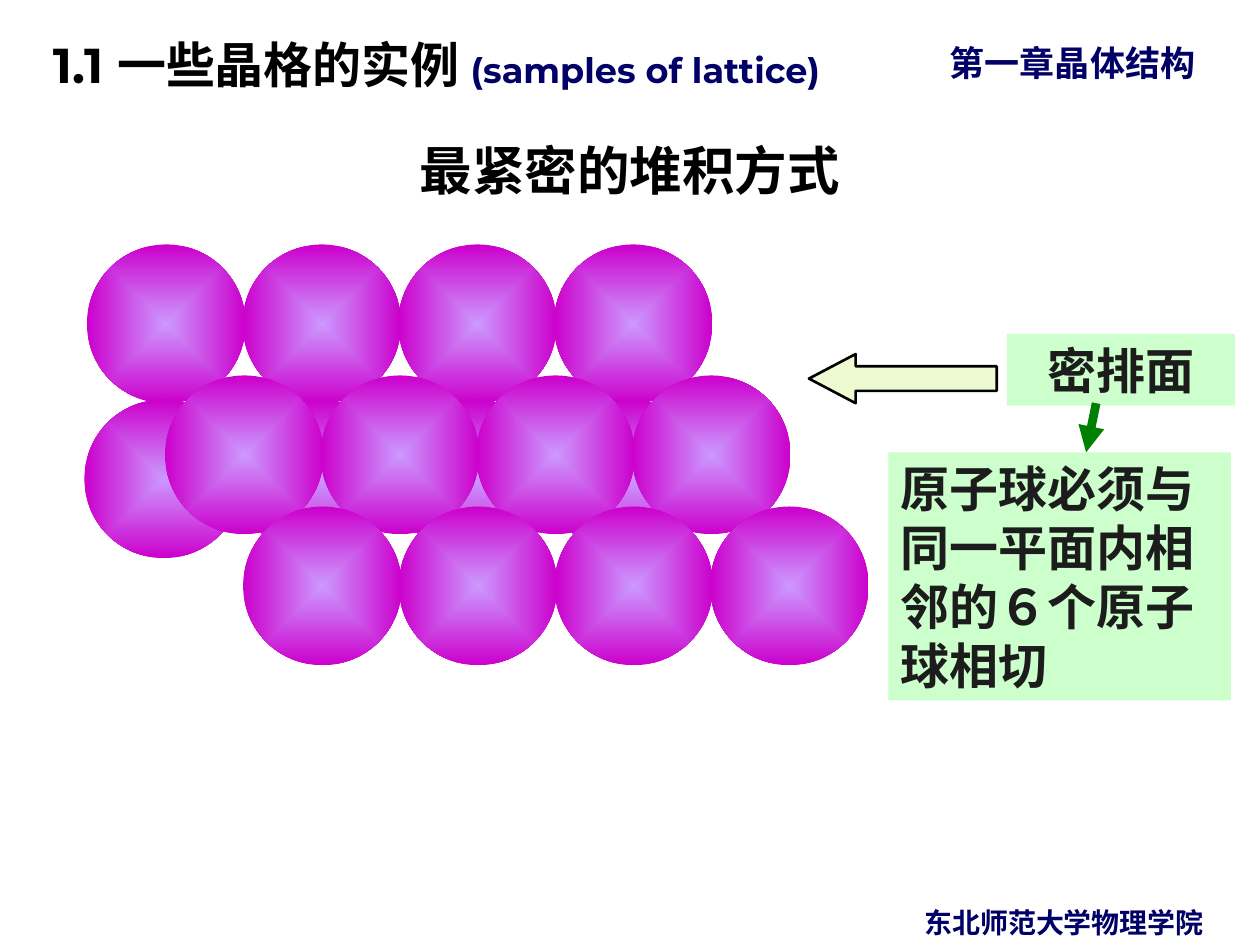
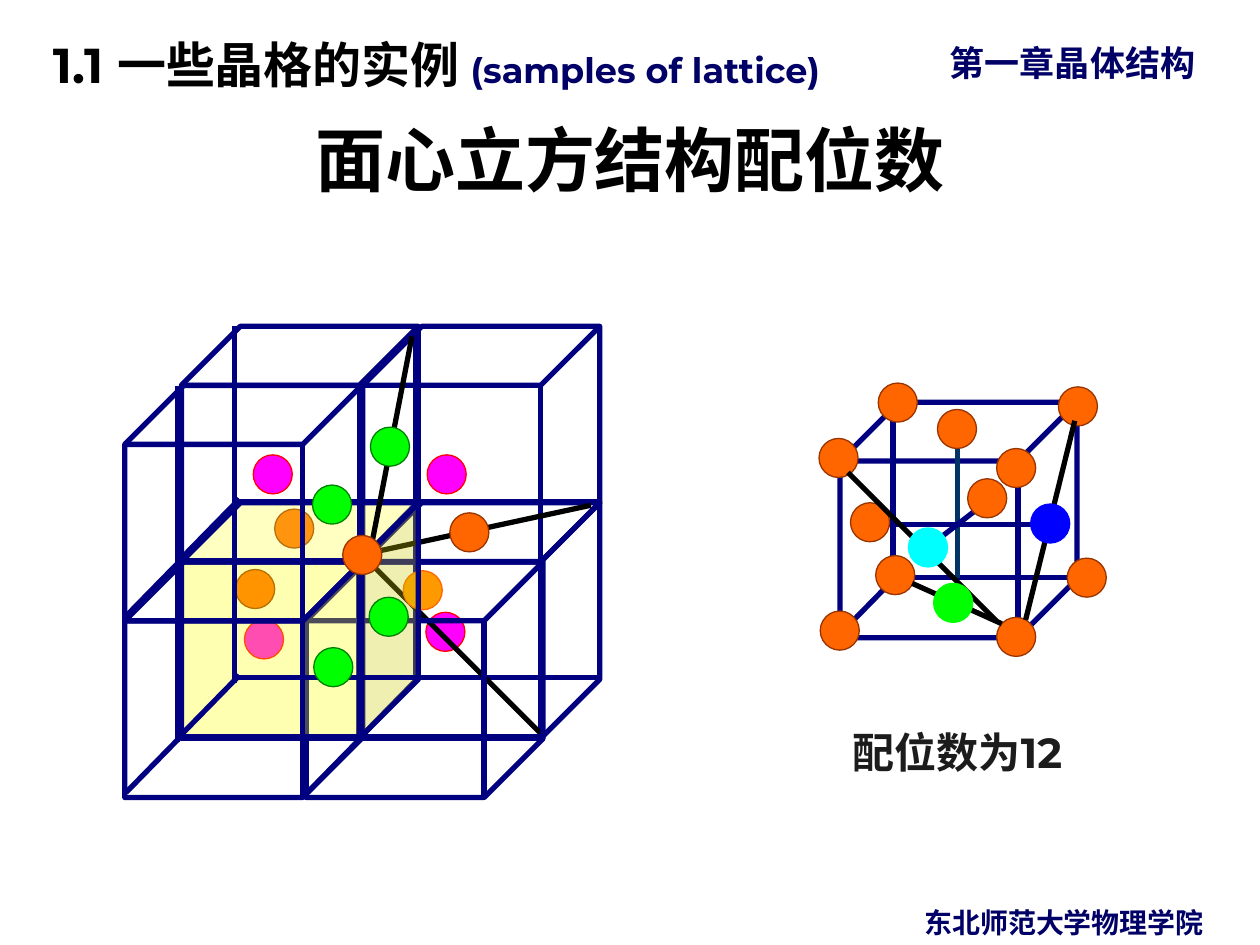
import pptx
import pptx.util
import pptx.dml.color
import pptx.enum.dml
import pptx.enum.shapes
import pptx.enum.text
import pptx.oxml.ns
from lxml import etree

RGB = pptx.dml.color.RGBColor
SHAPE = pptx.enum.shapes.MSO_SHAPE
ALIGN = pptx.enum.text.PP_ALIGN
ANCHOR = pptx.enum.text.MSO_ANCHOR
qn = pptx.oxml.ns.qn

BLACK, INK, HEADING = RGB(0, 0, 0), RGB(0x1C, 0x1C, 0x1C), RGB(0, 0, 0x66)
NAVY, TEAL, DARK_GREEN = RGB(0, 0, 0x80), RGB(0, 0x33, 0x66), RGB(0, 0x80, 0)
YELLOW, MINT, CREAM = RGB(0xFF, 0xFF, 0), RGB(0xCC, 0xFF, 0xCC), RGB(0xED, 0xFA, 0xD2)
LILAC, PURPLE = RGB(0xCC, 0x99, 0xFF), RGB(0xCC, 0, 0xCC)
PINK, RED = RGB(0xFF, 0, 0xFF), RGB(0xFF, 0, 0)
ORANGE, AMBER, BROWN = RGB(0xFF, 0x66, 0), RGB(0xFF, 0x99, 0), RGB(0x99, 0x33, 0)
GREEN, BLUE, CYAN = RGB(0, 0xFF, 0), RGB(0, 0, 0xFF), RGB(0, 0xFF, 0xFF)

HAN, LATIN, SERIF = "Noto Sans CJK SC", "Montserrat", "Times New Roman"

# Shared text: box, runs (text, size, font, colour), format
FRAME = [
    ((7.44, 0.28, 2.56, 0.43), [("第一章晶体结构", 20, HAN, HEADING)], {}),
    ((0, 0.1, 8.17, 0.69),
     [("1.1 一些晶格的实例 ", 28, LATIN, BLACK),
      ("(samples of lattice)", 20, LATIN, HEADING)],
     {"anchor": ANCHOR.MIDDLE, "spacing": 1.25, "left": 0.42}),
    ((6.89, 7.14, 3.11, 0.37), [("东北师范大学物理学院", 16, HAN, HEADING)],
     {"align": ALIGN.CENTER}),
]
TITLE_BOX = (0.5, 0.91, 9, 0.74)

# Close packing: left and top of each row of spheres, from back to front
SPHERE, SPHERE_STEP, SPHERES_PER_ROW = 1.26, 1.235, 4
SPHERE_ROWS = [(0.69, 1.94), (0.67, 3.17), (1.31, 2.98), (1.93, 4.02)]
NOTES = [
    ((7.99, 2.65, 1.81, 0.57), "密排面", ALIGN.CENTER),
    ((7.05, 3.59, 2.72, 1.97), "原子球必须与同一平面内相邻的６个原子球相切", ALIGN.LEFT),
]

# Cube (column, row, depth) sits on an oblique grid
CUBE_W, CUBE_H, ATOM = 1.88, 1.87, 0.31
GRID_LEFT, GRID_TOP, COLUMN, ROW, DEPTH = 1.44, 2.59, 1.44, 1.4, (-0.45, 0.47)
HIDDEN_EDGES = [(0.42, 0, 0.42, 1.43), (0.42, 1.39, CUBE_W, 1.39),
                (0.46, 1.37, 0.01, 1.83)]

# Layers from back to front: cube, cube fill, lines (colour, ends), atoms
LATTICE = [
    ((1, 0, 0), None, [],
     [(PINK, RED, [(3.39, 3.61), (3.38, 4.86), (2.01, 3.61), (1.94, 4.92)])]),
    ((1, 1, 0), None, [(BLACK, 2.95, 4.48, 4.29, 5.82)], []),
    ((1, 1, 1), None, [(BLACK, 2.88, 4.4, 4.69, 4.01)],
     [(AMBER, ORANGE, [(3.2, 4.53)]),
      (ORANGE, BROWN, [(2.18, 4.04), (1.87, 4.52), (3.57, 4.07)])]),
    ((0, 1, 0), YELLOW, [], []),
    ((0, 1, 1), None, [], []),
    ((0, 0, 0), None, [], []),
    ((0, 0, 1), None, [(BLACK, 2.95, 4.32, 3.27, 2.67)],
     [(GREEN, DARK_GREEN, [(2.48, 3.85), (2.93, 4.74), (2.94, 3.39), (2.49, 5.14)]),
      (ORANGE, BROWN, [(2.72, 4.25)])]),
]
UNIT_CELL = [
    ((3.63, 0.43, 0), None,
     [(TEAL, 7.6, 3.48, 7.6, 4.59), (NAVY, 6.97, 4.16, 8.31, 4.16),
      (NAVY, 7.77, 4.03, 7.46, 4.27)],
     [(ORANGE, BROWN,
       [(6.97, 3.04), (6.5, 3.48), (8.4, 3.07), (6.51, 4.85), (7.91, 4.9), (6.95, 4.41),
        (8.47, 4.43), (7.91, 3.56), (7.68, 3.8), (6.75, 3.99), (7.44, 3.25)])]),
    (None, None,
     [(BLACK, 7.91, 4.93, 6.73, 3.75), (BLACK, 7.95, 4.95, 7.24, 4.63),
      (BLACK, 8.53, 3.34, 8.14, 4.92)],
     [(BLUE, BLUE, [(8.18, 4)]), (CYAN, CYAN, [(7.21, 4.19)]),
      (GREEN, GREEN, [(7.41, 4.63)])]),
]


def inches(values):
    return [pptx.util.Inches(v) for v in values]


def write(sp, runs, align=ALIGN.LEFT, anchor=ANCHOR.TOP, spacing=1.0, left=0.1):
    tf = sp.text_frame
    for name, value in {"word_wrap": True, "vertical_anchor": anchor,
                        "margin_left": pptx.util.Inches(left)}.items():
        setattr(tf, name, value)
    p = tf.paragraphs[0]
    p.alignment, p.line_spacing = align, spacing
    for text, size, face, colour in runs:
        r = p.add_run()
        r.text = text
        for name, value in {"name": face, "size": pptx.util.Pt(size), "bold": True}.items():
            setattr(r.font, name, value)
        r.font.color.rgb = colour
        etree.SubElement(r.font._element, qn("a:ea"), typeface=HAN)


def add_text(s, box, runs, **layout):
    write(s.shapes.add_textbox(*inches(box)), runs, **layout)


def add_shape(s, kind, box, fill=None, line=None, width=0.75):
    sp = s.shapes.add_shape(kind, *inches(box))
    sp.shadow.inherit = False
    for part, colour in ((sp.fill, fill), (sp.line.fill, line)):
        if colour is None:
            part.background()
        else:
            part.solid()
            part.fore_color.rgb = colour
    if line is not None:
        sp.line.width = pptx.util.Pt(width)
    return sp


def add_line(s, colour, ends, width=3, arrow=False):
    c = s.shapes.add_connector(pptx.enum.shapes.MSO_CONNECTOR.STRAIGHT, *inches(ends))
    c.line.color.rgb = colour
    c.line.width = pptx.util.Pt(width)
    if arrow:
        etree.SubElement(c.line._get_or_add_ln(), qn("a:tailEnd"), type="triangle")
    etree.SubElement(c._element.spPr, qn("a:effectLst"))


def add_sphere(s, x, y):
    sp = add_shape(s, SHAPE.OVAL, (x, y, SPHERE, SPHERE))
    sp.fill.gradient()
    for stop, colour in zip(sp.fill.gradient_stops, (LILAC, PURPLE)):
        stop.color.rgb = colour
    grad = sp._element.spPr.find(qn("a:gradFill"))
    grad.remove(grad.find(qn("a:lin")))
    centre = etree.SubElement(grad, qn("a:path"), path="shape")
    etree.SubElement(centre, qn("a:fillToRect"), dict.fromkeys("ltrb", "50000"))


def add_cube(s, column, row, depth, fill):
    """Draw a cube with its hidden edges; a filled cube is 30% opaque."""
    x = GRID_LEFT + column * COLUMN + depth * DEPTH[0]
    y = GRID_TOP + row * ROW + depth * DEPTH[1]
    sp = add_shape(s, SHAPE.CUBE, (x, y, CUBE_W, CUBE_H), fill, NAVY, 3)
    sp.adjustments[0] = 0.25
    if fill is not None:
        colour = sp._element.spPr.find(qn("a:solidFill"))[0]
        etree.SubElement(colour, qn("a:alpha"), val="30000")
    for x1, y1, x2, y2 in HIDDEN_EDGES:
        add_line(s, NAVY, (x + x1, y + y1, x + x2, y + y2))


def add_layers(s, layers):
    for cube, fill, lines, atoms in layers:
        if cube:
            add_cube(s, *cube, fill)
        for colour, *ends in lines:
            add_line(s, colour, ends)
        for colour, rim, places in atoms:
            for x, y in places:
                add_shape(s, SHAPE.OVAL, (x, y, ATOM, ATOM), colour, rim)


def new_slide(prs, title, size):
    s = prs.slides.add_slide(prs.slide_layouts[6])
    for box, runs, layout in FRAME:
        add_text(s, box, runs, **layout)
    add_text(s, TITLE_BOX, [(title, size, HAN, BLACK)],
             align=ALIGN.CENTER, anchor=ANCHOR.BOTTOM, spacing=0.9)
    return s


def close_packing(prs):
    s = new_slide(prs, "最紧密的堆积方式", 30)
    for x, y in SPHERE_ROWS:
        for i in range(SPHERES_PER_ROW):
            add_sphere(s, x + i * SPHERE_STEP, y)
    arrow = add_shape(s, SHAPE.LEFT_ARROW, (6.42, 2.81, 1.49, 0.39), CREAM, BLACK, 1.5)
    arrow.adjustments[0], arrow.adjustments[1] = 0.5, 0.95
    for box, text, align in NOTES:
        write(add_shape(s, SHAPE.RECTANGLE, box, MINT), [(text, 28, SERIF, INK)], align)
    add_line(s, DARK_GREEN, (8.7, 3.2, 8.62, 3.59), 5, arrow=True)


def coordination_number(prs):
    s = new_slide(prs, "面心立方结构配位数", 40)
    add_layers(s, LATTICE + UNIT_CELL)
    add_text(s, (6.42, 5.72, 2.36, 0.5), [("配位数为12", 24, LATIN, INK)],
             align=ALIGN.CENTER)


def main():
    prs = pptx.Presentation()
    prs.slide_width, prs.slide_height = inches((10, 7.5))
    close_packing(prs)
    coordination_number(prs)
    prs.save("out.pptx")


if __name__ == "__main__":
    main()
